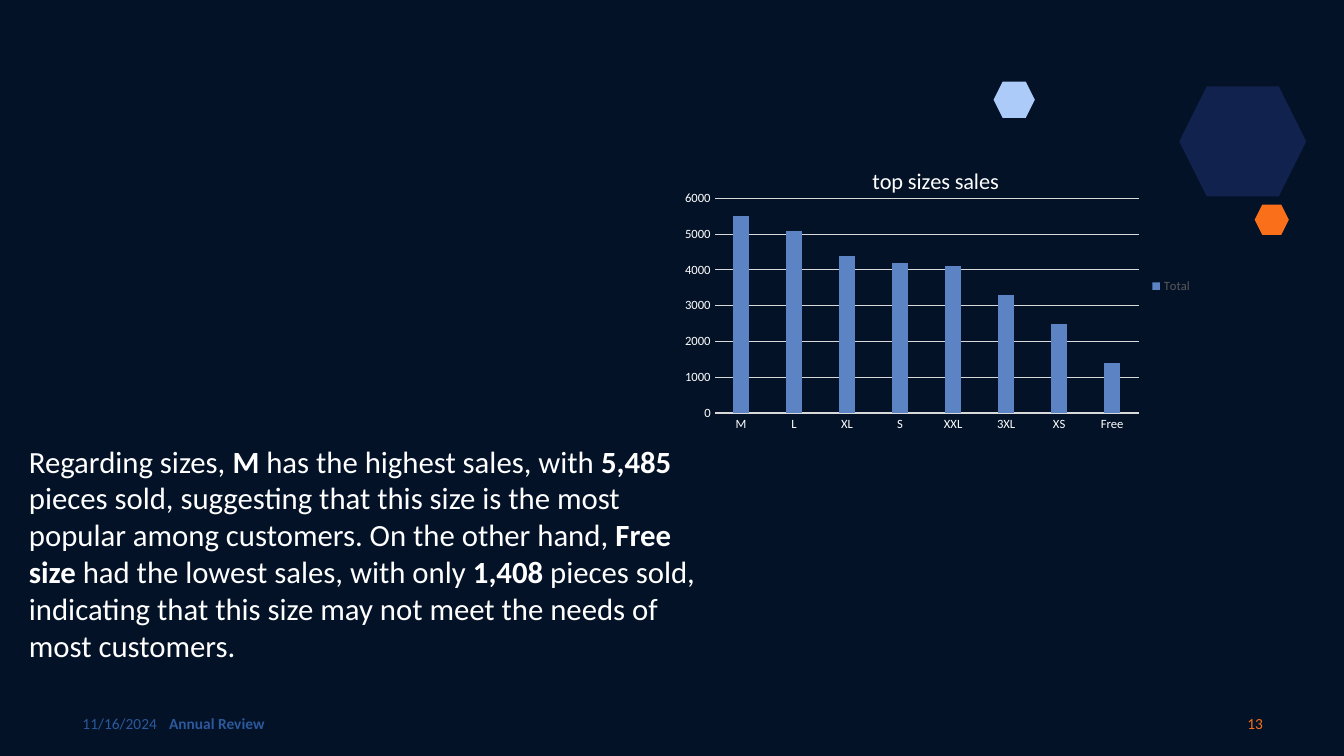
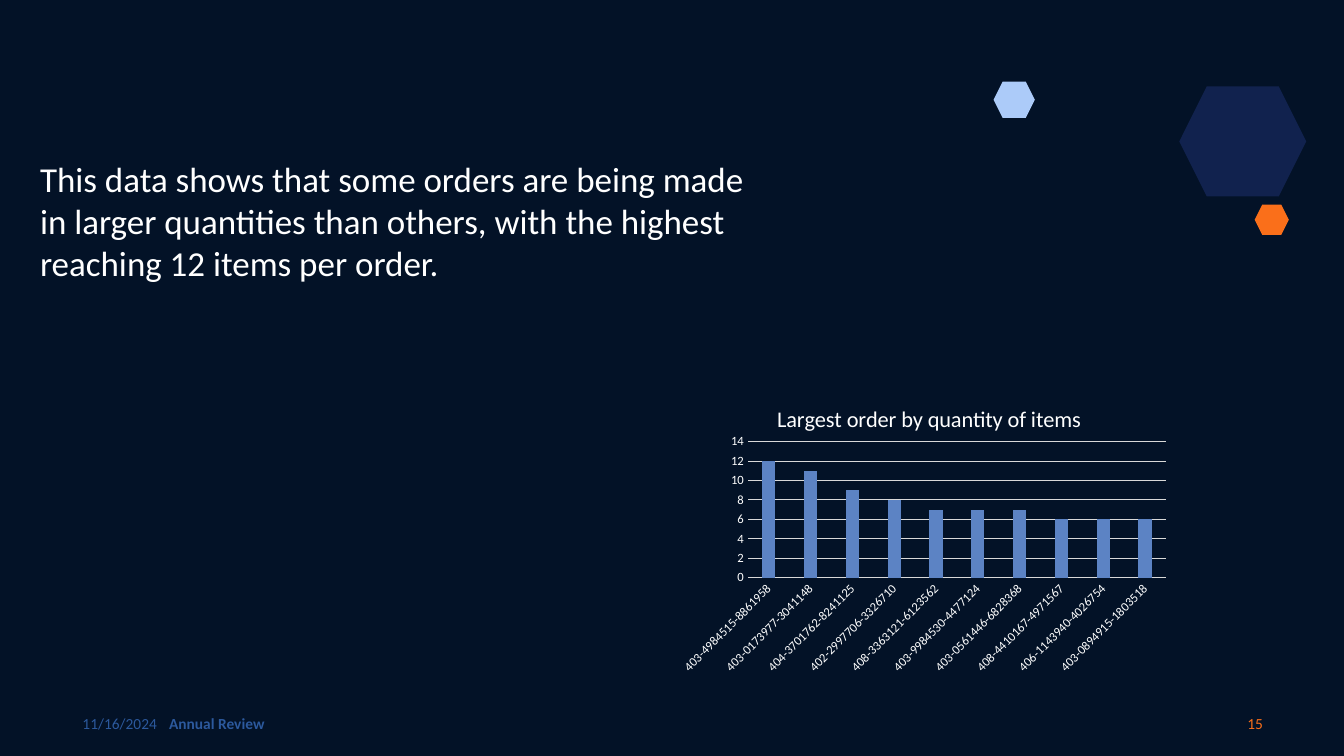
from dataclasses import dataclass

from lxml import etree
from pptx import Presentation
from pptx.chart.chart import Chart
from pptx.chart.data import CategoryChartData
from pptx.dml.color import RGBColor
from pptx.enum.chart import XL_CHART_TYPE, XL_LEGEND_POSITION, XL_TICK_MARK
from pptx.enum.shapes import MSO_SHAPE
from pptx.enum.text import MSO_ANCHOR, PP_ALIGN
from pptx.oxml.ns import qn
from pptx.slide import Slide
from pptx.util import Cm, Pt

HEXAGON = MSO_SHAPE.HEXAGON
COLUMNS = XL_CHART_TYPE.COLUMN_CLUSTERED
LEGEND_RIGHT = XL_LEGEND_POSITION.RIGHT
NO_TICK = XL_TICK_MARK.NONE
TOP, MIDDLE = MSO_ANCHOR.TOP, MSO_ANCHOR.MIDDLE
LEFT, RIGHT = PP_ALIGN.LEFT, PP_ALIGN.RIGHT

FONT = "Calibri"
NIGHT = RGBColor(0x03, 0x12, 0x27)
NAVY = RGBColor(0x11, 0x22, 0x4E)
ORANGE = RGBColor(0xFA, 0x6F, 0x1A)
SKY = RGBColor(0xAC, 0xCB, 0xF9)
FOOTER_BLUE = RGBColor(0x2C, 0x59, 0x9D)
COLUMN_BLUE = RGBColor(0x5C, 0x83, 0xC4)
GRID_GRAY = RGBColor(0xD9, 0xD9, 0xD9)
LEGEND_GRAY = RGBColor(0x59, 0x59, 0x59)
WHITE = RGBColor(0xFF, 0xFF, 0xFF)
BLACK = RGBColor(0x00, 0x00, 0x00)


@dataclass(frozen=True)
class Box:
    """A frame in centimetres."""
    left: float
    top: float
    width: float
    height: float

    def lengths(self) -> tuple[Cm, Cm, Cm, Cm]:
        return Cm(self.left), Cm(self.top), Cm(self.width), Cm(self.height)


@dataclass(frozen=True)
class Hexagon:
    box: Box
    color: RGBColor


@dataclass(frozen=True)
class ColumnChart:
    """Title and plot positions are fractions of the chart frame."""
    title: str
    box: Box
    series: str
    values: dict[str, float]
    axis_top: float
    axis_step: float
    title_at: dict[str, float]
    plot_at: dict[str, float]
    legend: bool = False
    label_angle: int = 0


@dataclass(frozen=True)
class Finding:
    number: int
    message: str
    message_box: Box
    message_size: float
    chart: ColumnChart


HEXAGONS = (
    Hexagon(Box(29.72, 2.18, 3.2, 2.77), NAVY),
    Hexagon(Box(31.62, 5.16, 0.86, 0.76), ORANGE),
    Hexagon(Box(25.04, 2.06, 1.04, 0.91), SKY),
)

FOOTER_TOP, FOOTER_HEIGHT = 17.73, 1.02

FINDINGS = (
    Finding(
        13,
        "Regarding sizes, **M** has the highest sales, with **5,485** pieces sold, "
        "suggesting that this size is the most popular among customers. On the other "
        "hand, **Free size** had the lowest sales, with only **1,408** pieces sold, "
        "indicating that this size may not meet the needs of most customers.",
        Box(0.48, 11.02, 17.65, 5.89),
        22,
        ColumnChart(
            "top sizes sales",
            Box(16.94, 3.4, 13.36, 7.62),
            "Total",
            {"M": 5500, "L": 5100, "XL": 4400, "S": 4200,
             "XXL": 4100, "3XL": 3300, "XS": 2500, "Free": 1400},
            axis_top=6000,
            axis_step=1000,
            title_at={"x": 0.37, "y": 0.09},
            plot_at={"x": 0.08, "y": 0.21, "w": 0.8, "h": 0.71},
            legend=True,
        ),
    ),
    Finding(
        15,
        "This data shows that some orders are being made in larger quantities than "
        "others, with the highest reaching 12 items per order.",
        Box(0.76, 3.84, 18.95, 3.45),
        25,
        ColumnChart(
            "Largest order by quantity of items",
            Box(16.94, 9.53, 12.7, 7.62),
            "Series 1",
            {"403-4984515-8861958": 12, "403-0173977-3041148": 11,
             "404-3701762-8241125": 9, "402-2997706-3326710": 8,
             "408-3363121-6123562": 7, "403-9984530-4477124": 7,
             "403-0561446-6828368": 7, "408-4410167-4971567": 6,
             "406-1143940-4026754": 6, "403-0894915-1803518": 6},
            axis_top=14,
            axis_step=2,
            title_at={"x": 0.2, "y": 0.07},
            plot_at={"x": 0.15, "y": 0.21, "w": 0.83, "h": 0.45},
            label_angle=-45,
        ),
    ),
)


def format_font(font, size: float, color: RGBColor, bold: bool = False) -> None:
    font.name, font.size, font.bold = FONT, Pt(size), bold
    font.color.rgb = color


def add_text(slide: Slide, text: str, box: Box, *, size: float, color: RGBColor,
             bold: bool = False, align=LEFT, anchor=TOP) -> None:
    """Add a text box; words between ** marks are bold."""
    frame = slide.shapes.add_textbox(*box.lengths()).text_frame
    frame.word_wrap = True
    frame.vertical_anchor = anchor
    paragraph = frame.paragraphs[0]
    paragraph.alignment = align
    for index, part in enumerate(text.split("**")):
        run = paragraph.add_run()
        run.text = part
        format_font(run.font, size, color, bold or index % 2 == 1)


def add_hexagon(slide: Slide, hexagon: Hexagon) -> None:
    shape = slide.shapes.add_shape(HEXAGON, *hexagon.box.lengths())
    shape.shadow.inherit = False
    shape.fill.solid()
    shape.fill.fore_color.rgb = hexagon.color
    shape.line.fill.background()


def add_footer(slide: Slide, number: int) -> None:
    def add_part(text: str, left: float, width: float, **style) -> None:
        add_text(slide, text, Box(left, FOOTER_TOP, width, FOOTER_HEIGHT),
                 size=11, anchor=MIDDLE, **style)

    add_part("11/16/2024", 1.83, 7.62, color=FOOTER_BLUE)
    add_part("Annual Review", 4.01, 11.43, color=FOOTER_BLUE, bold=True)
    add_part(str(number), 24.46, 7.62, color=ORANGE, align=RIGHT)


def set_layout(chart: Chart, parent_tag: str, after_tag: str | None,
               position: dict[str, float]) -> None:
    """Place the chart title or plot by fractions of the chart frame."""
    parent = next(chart.element.iter(qn(parent_tag)))
    for automatic in parent.findall(qn("c:layout")):
        parent.remove(automatic)
    layout = etree.Element(qn("c:layout"))
    manual = etree.SubElement(layout, qn("c:manualLayout"))
    if "w" in position:
        etree.SubElement(manual, qn("c:layoutTarget")).set("val", "inner")
    for axis in "xy":
        etree.SubElement(manual, qn(f"c:{axis}Mode")).set("val", "edge")
    for key, fraction in position.items():
        etree.SubElement(manual, qn(f"c:{key}")).set("val", str(fraction))
    if after_tag:
        parent.find(qn(after_tag)).addnext(layout)
    else:
        parent.insert(0, layout)


def format_line(line) -> None:
    line.color.rgb = GRID_GRAY
    line.width = Pt(0.75)


def format_axes(chart: Chart, content: ColumnChart) -> None:
    categories, values = chart.category_axis, chart.value_axis
    for axis in (categories, values):
        axis.major_tick_mark = axis.minor_tick_mark = NO_TICK
        format_font(axis.tick_labels.font, 9, WHITE)
    format_line(categories.format.line)
    values.format.line.fill.background()
    values.has_major_gridlines = True
    format_line(values.major_gridlines.format.line)
    values.minimum_scale = 0
    values.maximum_scale = content.axis_top
    values.major_unit = content.axis_step
    if content.label_angle:
        label_body = next(chart.element.iter(qn("c:catAx"))).find(
            f"{qn('c:txPr')}/{qn('a:bodyPr')}")
        label_body.set("rot", str(content.label_angle * 60000))
        label_body.set("vert", "horz")


def add_column_chart(slide: Slide, content: ColumnChart) -> None:
    data = CategoryChartData()
    data.categories = list(content.values)
    data.add_series(content.series, list(content.values.values()))
    chart = slide.shapes.add_chart(COLUMNS, *content.box.lengths(), data).chart
    format_font(chart.font, 10, BLACK)

    chart.has_title = True
    title = chart.chart_title.text_frame
    title.text = content.title
    format_font(title.paragraphs[0].runs[0].font, 16, WHITE)
    set_layout(chart, "c:title", "c:tx", content.title_at)

    plot = chart.plots[0]
    plot.gap_width, plot.overlap = 219, -27
    plot.vary_by_categories = False
    columns = plot.series[0].format
    columns.fill.solid()
    columns.fill.fore_color.rgb = COLUMN_BLUE
    set_layout(chart, "c:plotArea", None, content.plot_at)
    format_axes(chart, content)

    chart.has_legend = content.legend
    if content.legend:
        chart.legend.position = LEGEND_RIGHT
        chart.legend.include_in_layout = False
        format_font(chart.legend.font, 9, LEGEND_GRAY)


def main() -> None:
    deck = Presentation()
    deck.slide_width, deck.slide_height = Cm(33.87), Cm(19.05)
    background = deck.slide_master.background.fill
    background.solid()
    background.fore_color.rgb = NIGHT
    blank_layout = deck.slide_layouts.get_by_name("Blank")

    for finding in FINDINGS:
        slide = deck.slides.add_slide(blank_layout)
        add_footer(slide, finding.number)
        for hexagon in HEXAGONS:
            add_hexagon(slide, hexagon)
        add_text(slide, finding.message, finding.message_box,
                 size=finding.message_size, color=WHITE)
        add_column_chart(slide, finding.chart)
    deck.save("out.pptx")


if __name__ == "__main__":
    main()
